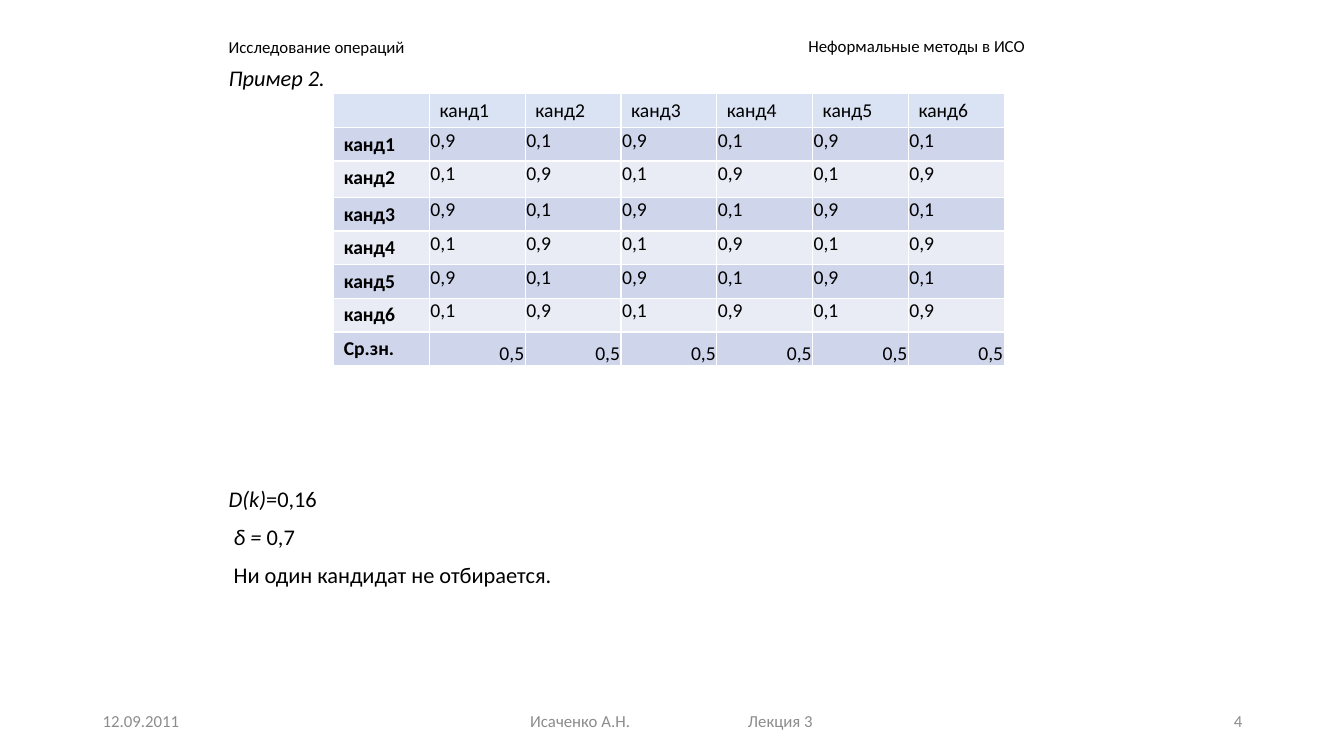
"""Build the lecture slide with the second candidate-selection example."""
from lxml import etree
from pptx import Presentation
from pptx import util as u
from pptx.dml.color import RGBColor
from pptx.enum import text
from pptx.oxml.ns import qn

THEME = {
    "font": "Calibri", "ink": "000000", "muted": "8C8C8C", "border": "FFFFFF",
    "header": "DAE3F3", "bands": ("CFD5EA", "E9EBF5"),
    "small": 12, "cell": 14, "body": 16,
}
LEFT, CENTER, RIGHT = text.PP_ALIGN.LEFT, text.PP_ALIGN.CENTER, text.PP_ALIGN.RIGHT
TOP, MIDDLE, BOTTOM = (text.MSO_ANCHOR.TOP, text.MSO_ANCHOR.MIDDLE,
                       text.MSO_ANCHOR.BOTTOM)

HEADINGS = [
    ("Исследование операций", (2.17, 0.3, 2, 0.32), MIDDLE),
    ("Неформальные методы в ИСО", (7.92, 0.31, 2.42, 0.3), TOP),
]
EXAMPLE = [[("Пример 2.", True)]]
CONCLUSIONS = [
    [("D(k)", True), ("=0,16", False)],
    [("δ = ", True), ("0,7", False)],
    [("Ни один кандидат не отбирается.", False)],
]
FOOTERS = [
    ("12.09.2011", (0.92, 6.95, 3, 0.4), LEFT),
    ("Исаченко А.Н.", (5.16, 6.95, 1.4, 0.4), LEFT),
    ("Лекция 3", (7.32, 6.95, 1.2, 0.4), LEFT),
    ("4", (9.42, 6.95, 3, 0.4), RIGHT),
]
CANDIDATES = ["канд1", "канд2", "канд3", "канд4", "канд5", "канд6"]
SAME_GROUP, OTHER_GROUP, MEAN = "0,9", "0,1", "0,5"
TABLE_LEFT, TABLE_TOP, COLUMN_WIDTH = 3.31, 0.93, 0.95
ROW_HEIGHTS = [0.33, 0.33, 0.36, 0.33, 0.33, 0.33, 0.33, 0.33]


def style(font, size, color=THEME["ink"], bold=False, italic=False):
    font.name, font.size = THEME["font"], u.Pt(size)
    font.color.rgb = RGBColor.from_string(color)
    font.bold, font.italic = bold, italic


def add_box(page, place, anchor=TOP):
    box = page.shapes.add_textbox(*map(u.Inches, place))
    box.text_frame.word_wrap = True
    box.text_frame.vertical_anchor = anchor
    return box.text_frame


def add_label(page, words, place, anchor=MIDDLE, align=LEFT, color=THEME["ink"]):
    frame = add_box(page, place, anchor)
    frame.text = words
    para = frame.paragraphs[0]
    para.alignment = align
    style(para.runs[0].font, THEME["small"], color)


def add_body(page, lines, place):
    frame = add_box(page, place)
    for index, line in enumerate(lines):
        para = frame.add_paragraph() if index else frame.paragraphs[0]
        para.line_spacing = 0.9
        if index:
            para.space_before = u.Pt(10)
            para._p.get_or_add_pPr().set("marL", str(u.Inches(0.05)))
        for words, italic in line:
            span = para.add_run()
            span.text = words
            style(span.font, THEME["body"], italic=italic)


def set_borders(cell):
    properties = cell._tc.get_or_add_tcPr()
    for side in ("a:lnL", "a:lnR", "a:lnT", "a:lnB"):
        line = etree.SubElement(properties, qn(side), w=str(u.Pt(1)))
        fill = etree.SubElement(line, qn("a:solidFill"))
        etree.SubElement(fill, qn("a:srgbClr"), val=THEME["border"])


def score_rows():
    count = len(CANDIDATES)
    rows = [["", *CANDIDATES]]
    for judge, name in enumerate(CANDIDATES):
        rows.append([name] + [OTHER_GROUP if (judge + other) % 2 else SAME_GROUP
                              for other in range(count)])
    return rows + [["Ср.зн."] + [MEAN] * count]


def fill_cell(cell, words, row, column, is_mean):
    set_borders(cell)
    color = THEME["bands"][(row - 1) % 2] if row else THEME["header"]
    cell.fill.solid()
    cell.fill.fore_color.rgb = RGBColor.from_string(color)
    if not words or (row and column):
        cell.margin_left = cell.margin_right = cell.margin_top = u.Inches(0.01)
        cell.margin_bottom = 0
    if not words:
        return
    cell.text_frame.text = words
    para = cell.text_frame.paragraphs[0]
    if is_mean and column:
        cell.vertical_anchor = BOTTOM
        para.alignment = RIGHT
    style(para.runs[0].font, THEME["cell"], bold=row > 0 and column == 0)


def add_scores(page):
    rows = score_rows()
    columns = len(rows[0])
    place = (TABLE_LEFT, TABLE_TOP, COLUMN_WIDTH * columns, sum(ROW_HEIGHTS))
    table = page.shapes.add_table(len(rows), columns, *map(u.Inches, place)).table
    for column in table.columns:
        column.width = u.Inches(COLUMN_WIDTH)
    for row, values in enumerate(rows):
        table.rows[row].height = u.Inches(ROW_HEIGHTS[row])
        for column, words in enumerate(values):
            fill_cell(table.cell(row, column), words, row, column,
                      row == len(rows) - 1)


def main():
    deck = Presentation()
    deck.slide_width, deck.slide_height = u.Inches(13.33), u.Inches(7.5)
    page = deck.slides.add_slide(deck.slide_layouts[6])
    for words, place, anchor in HEADINGS:
        add_label(page, words, place, anchor)
    add_body(page, EXAMPLE, (2.17, 0.62, 9, 0.34))
    add_body(page, CONCLUSIONS, (2.17, 4.79, 9, 2.16))
    for words, place, align in FOOTERS:
        add_label(page, words, place, align=align, color=THEME["muted"])
    add_scores(page)
    deck.save("out.pptx")


if __name__ == "__main__":
    main()
